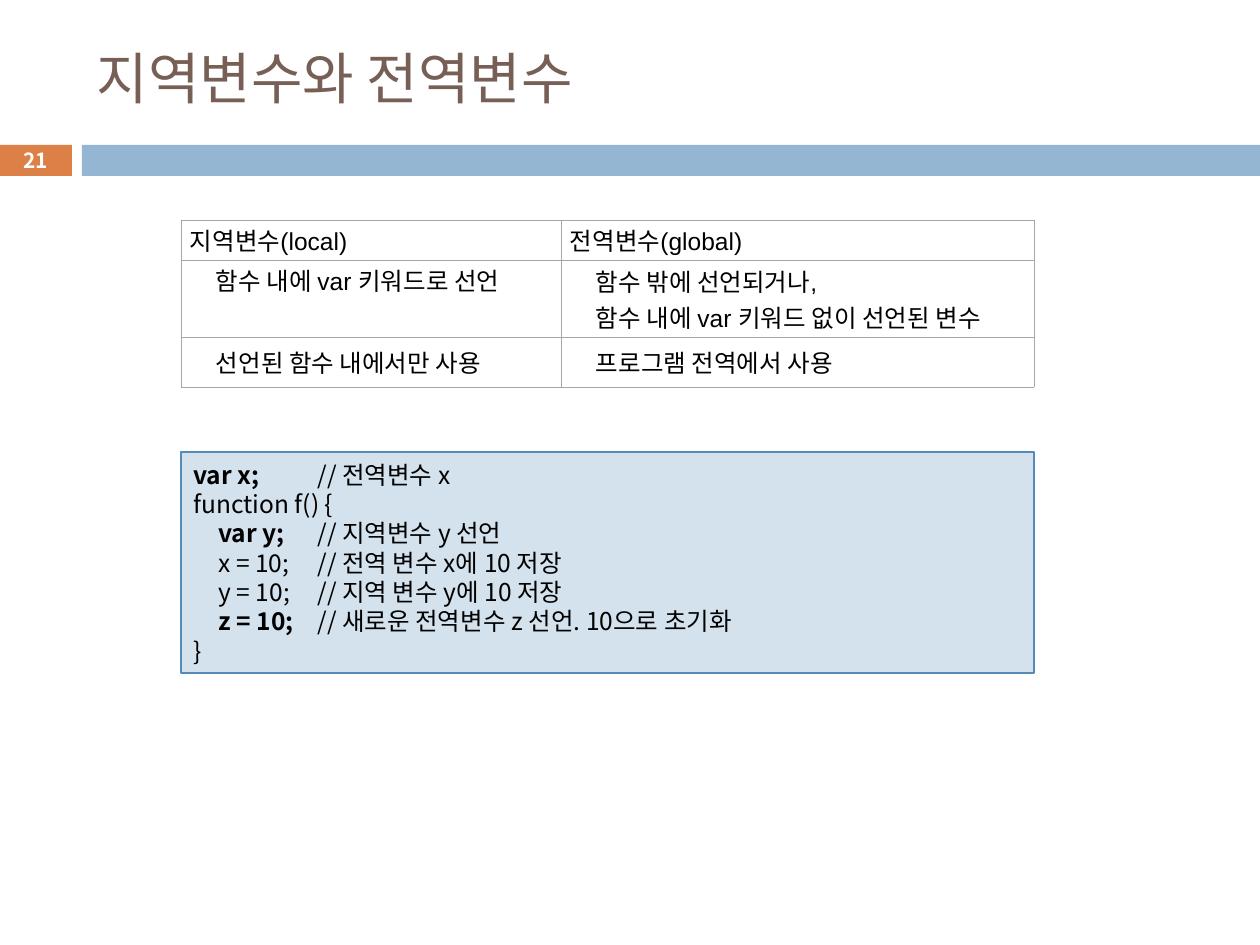
from lxml import etree
from pptx import Presentation
from pptx import util as u
from pptx.dml import color
from pptx.enum import shapes, text
from pptx.oxml import ns

SCALE = 914400 / 126
NOTO = "Noto Sans CJK KR"


def px(length):
    return u.Emu(round(length * SCALE))


def rgb(value):
    return color.RGBColor.from_string(value)


def add_node(parent, tag, **attributes):
    values = {name: str(value) for name, value in attributes.items()}
    return etree.SubElement(parent, ns.qn(tag), values)


def write(frame, lines, size=14, font=NOTO, ink="000000", bold=False,
          align=text.PP_ALIGN.LEFT, anchor=text.MSO_ANCHOR.MIDDLE,
          indent=0, spacing=None, tabs=()):
    frame.word_wrap = True
    frame.vertical_anchor = anchor
    for index, line in enumerate(lines):
        paragraph = frame.add_paragraph() if index else frame.paragraphs[0]
        paragraph.alignment = align
        if spacing:
            paragraph.line_spacing = u.Pt(spacing)
        properties = paragraph._p.get_or_add_pPr()
        if indent:
            properties.set("marL", str(px(indent)))
            properties.set("indent", "0")
        if tabs:
            stops = add_node(properties, "a:tabLst")
            for position in tabs:
                add_node(stops, "a:tab", pos=px(position), algn="l")
        runs = [(line, bold)] if isinstance(line, str) else line
        for content, heavy in runs:
            run = paragraph.add_run()
            run.text = content
            run.font.size = u.Pt(size)
            run.font.name = font
            run.font.bold = heavy
            run.font.color.rgb = rgb(ink)
            add_node(run._r.get_or_add_rPr(), "a:ea", typeface=NOTO)


class SlideBuilder:
    title_ink = "775F55"
    border = "A6A6A6"

    def __init__(self, slide):
        self.slide = slide

    def title(self, content, left, top, width, height):
        shape = self.slide.shapes.title
        shape.left, shape.top, shape.width, shape.height = map(px, (left, top, width, height))
        write(shape.text_frame, [content], size=32, ink=self.title_ink)

    def box(self, left, top, width, height, fill, line=None):
        shape = self.slide.shapes.add_shape(
            shapes.MSO_SHAPE.RECTANGLE, *map(px, (left, top, width, height)))
        shape.shadow.inherit = False
        shape.fill.solid()
        shape.fill.fore_color.rgb = rgb(fill)
        if line:
            shape.line.color.rgb = rgb(line)
            shape.line.width = u.Pt(0.75)
        else:
            shape.line.fill.background()
        return shape

    def label(self, content, left, top, width, height, **style):
        shape = self.slide.shapes.add_textbox(*map(px, (left, top, width, height)))
        write(shape.text_frame, [content], **style)

    def code(self, lines, left, top, width, height, **style):
        shape = self.box(left, top, width, height, "D4E2ED", "558BB8")
        write(shape.text_frame, lines, **style)

    def table(self, rows, left, top, widths, heights):
        frame = self.slide.shapes.add_table(
            len(rows), len(widths), *map(px, (left, top, sum(widths), sum(heights))))
        table = frame.table
        table.first_row = table.horz_banding = False
        for column, width in zip(table.columns, widths):
            column.width = px(width)
        for row, height in zip(table.rows, heights):
            row.height = px(height)
        for row_index, row in enumerate(rows):
            for column_index, lines in enumerate(row):
                cell = table.cell(row_index, column_index)
                self.cell(cell, lines, 26 if row_index else 0)
        return table

    def cell(self, cell, lines, indent):
        cell.margin_left = cell.margin_right = px(9)
        cell.margin_top = cell.margin_bottom = px(2)
        properties = cell._tc.get_or_add_tcPr()
        for side in "LRTB":
            line = add_node(properties, "a:ln" + side, w=u.Pt(0.5))
            add_node(add_node(line, "a:solidFill"), "a:srgbClr", val=self.border)
        cell.fill.background()
        write(cell.text_frame, lines, font="Arial", indent=indent)
        cell.vertical_anchor = text.MSO_ANCHOR.MIDDLE


def main():
    presentation = Presentation()
    presentation.slide_width, presentation.slide_height = px(1260), px(945)
    builder = SlideBuilder(presentation.slides.add_slide(presentation.slide_layouts[5]))

    builder.box(-1, 145, 73, 31, "DD8047")
    builder.box(82, 145, 1178, 31, "94B6D2")
    builder.title("지역변수와 전역변수", 84, 31, 1124, 93)
    builder.label("21", -1, 143, 73, 34, size=11.9, ink="FFFFFF", bold=True,
                  align=text.PP_ALIGN.CENTER)

    table = builder.table([
        [["지역변수(local)"], ["전역변수(global)"]],
        [["함수 내에 var 키워드로 선언"],
         ["함수 밖에 선언되거나,", "함수 내에 var 키워드 없이 선언된 변수"]],
        [["선언된 함수 내에서만 사용"], ["프로그램 전역에서 사용"]],
    ], 181, 220, [380, 473], [40, 77, 50])
    table.cell(1, 0).vertical_anchor = text.MSO_ANCHOR.TOP

    builder.code([
        [("var x;", True), ("\t// 전역변수 x", False)],
        "function f() {",
        [("\tvar y;", True), ("\t// 지역변수 y 선언", False)],
        "\tx = 10;\t// 전역 변수 x에 10 저장",
        "\ty = 10;\t// 지역 변수 y에 10 저장",
        [("\tz = 10;", True), ("\t// 새로운 전역변수 z 선언. 10으로 초기화", False)],
        "}",
    ], 181, 452, 853, 221, spacing=16.75, tabs=(25, 124))

    presentation.save("out.pptx")


if __name__ == "__main__":
    main()
